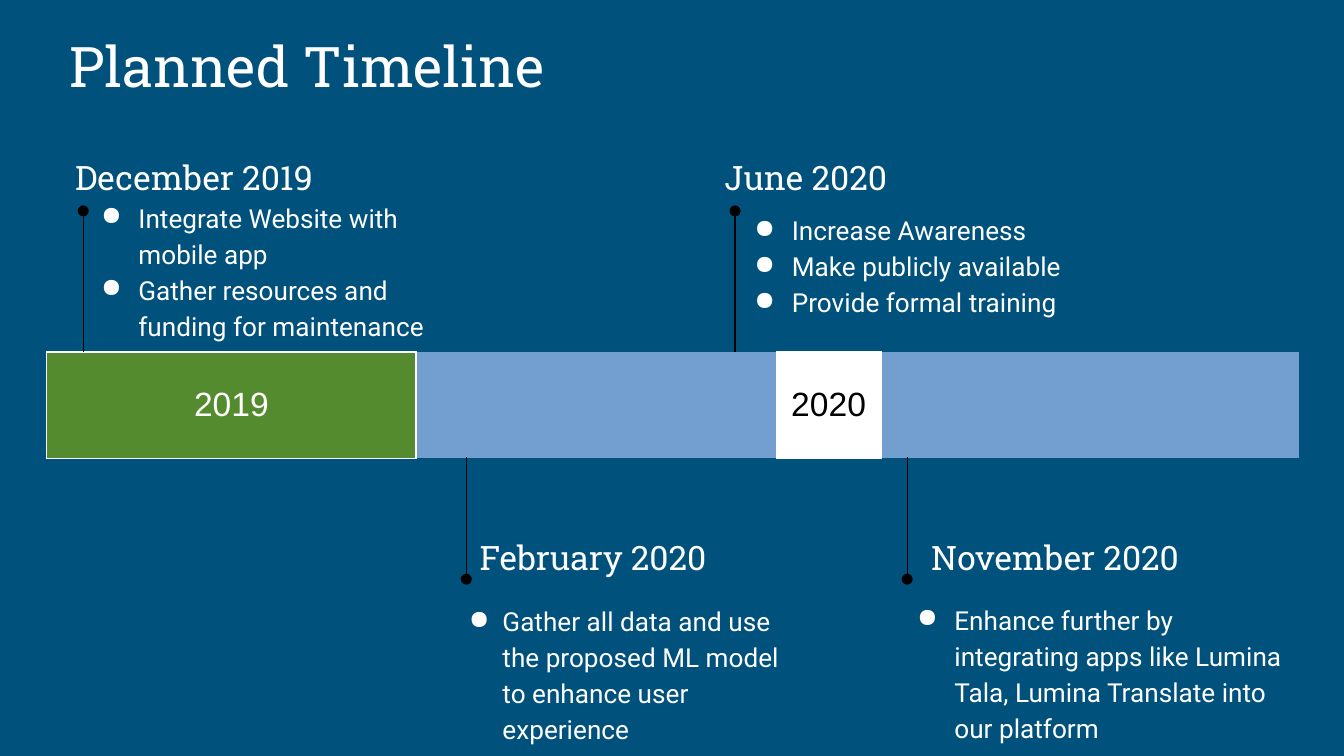
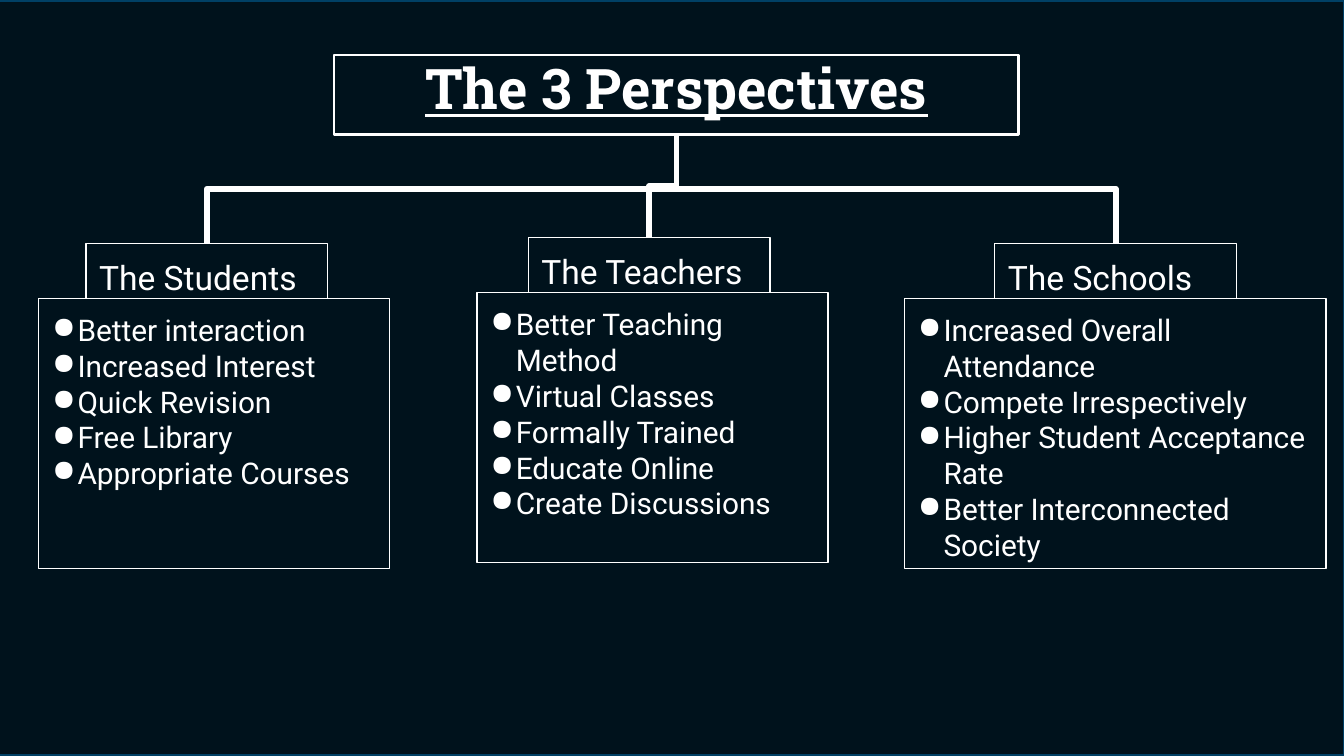
from lxml import etree
from pptx import Presentation
from pptx import util as u
from pptx.dml import color
from pptx.enum import shapes, text
from pptx.oxml import ns

HUES = {"back": "00517C", "edge": "004065", "white": "FFFFFF",
        "black": "000000", "green": "558B2F", "blue": "729FCF"}
HEAD = {"name": "Roboto Slab", "size": 18}
TITLE = {"name": "Roboto Slab", "size": 30}
BODY = {"name": "Roboto", "size": 14}
CARD = {"name": "Roboto", "size": 16}
LABEL = {"name": "Roboto", "size": 18}
YEAR = {"name": "Arial", "size": 18}
MID = text.MSO_ANCHOR.MIDDLE
LOW = text.MSO_ANCHOR.BOTTOM
TOP = text.MSO_ANCHOR.TOP
CENTER = text.PP_ALIGN.CENTER
PAD = 7.2


def hue(name):
    return color.RGBColor.from_string(HUES[name])


def pts(box):
    return [u.Pt(n) for n in box]


def sub(node, tag, **attrs):
    return etree.SubElement(node, ns.qn(tag), attrs)


def bullet(para, left, hang):
    props = para._p.get_or_add_pPr()
    props.set("marL", str(u.Pt(left)))
    props.set("indent", str(u.Pt(-hang)))
    sub(sub(props, "a:buClr"), "a:srgbClr", val=HUES["white"])
    sub(props, "a:buChar", char="●")


def write(frame, lines, style, tone="white", anchor=TOP, align=None,
          dots=None, space=None):
    look = {"word_wrap": True, "vertical_anchor": anchor,
            "margin_left": u.Pt(PAD), "margin_right": u.Pt(PAD),
            "margin_top": u.Pt(PAD), "margin_bottom": u.Pt(PAD)}
    for key, val in look.items():
        setattr(frame, key, val)
    for i, line in enumerate(lines):
        para = frame.add_paragraph() if i else frame.paragraphs[0]
        if dots:
            bullet(para, *dots)
        para.alignment = align or text.PP_ALIGN.LEFT
        if space:
            para.line_spacing = space
        run = para.add_run()
        run.text = line
        for key, val in style.items():
            setattr(run.font, key, u.Pt(val) if key == "size" else val)
        run.font.color.rgb = hue(tone)


def label(slide, box, lines, style, **kw):
    write(slide.shapes.add_textbox(*pts(box)).text_frame, lines, style, **kw)


def frame(tree, box, line="white", width=0.75):
    rect = tree.add_shape(shapes.MSO_SHAPE.RECTANGLE, *pts(box))
    rect.shadow.inherit = False
    rect.fill.background()
    rect.line.color.rgb = hue(line)
    rect.line.width = u.Pt(width)
    return rect


def wire(slide, kind, ends, tone, width):
    line = slide.shapes.add_connector(kind, *pts(ends))
    line.line.color.rgb = hue(tone)
    line.line.width = u.Pt(width)
    sub(line._element.spPr, "a:effectLst")
    return line


def page(deck):
    slide = deck.slides.add_slide(deck.slide_layouts[6])
    fill = slide.background.fill
    fill.solid()
    fill.fore_color.rgb = hue("back")
    return slide


def years(slide, box):
    grid = slide.shapes.add_table(1, 12, *pts(box)).table
    grid.first_row = grid.horz_banding = False
    month = 56
    wide = {3: 30, 4: 81}
    for i, col in enumerate(grid.columns):
        col.width = u.Pt(wide.get(i, month))
    for cell in grid.iter_cells():
        cell.fill.solid()
        cell.fill.fore_color.rgb = hue("blue")
    for first, last, year, fill, tone in (
            (0, 3, "2019", "green", "white"),
            (4, 11, "2020", "white", "black")):
        cell = grid.cell(0, first)
        cell.merge(grid.cell(0, last))
        cell.fill.fore_color.rgb = hue(fill)
        write(cell.text_frame, [year], YEAR, tone, align=CENTER)
        cell.vertical_anchor = MID


def event(slide, box, name, pin, edge, body, dots, lines):
    x, y, w, h = box
    dx, dy = pin
    line = wire(slide, shapes.MSO_CONNECTOR.STRAIGHT,
                (x + dx, edge, x + dx, y + dy), "black", 0.75)
    sub(line.line._get_or_add_ln(), "a:tailEnd", type="oval")
    label(slide, box, [name], HEAD, anchor=MID)
    bx, by, bw, bh = body
    label(slide, (x + bx, y + by, bw, bh), lines, BODY,
          dots=dots, space=1.15)


def plan(deck):
    slide = page(deck)
    label(slide, (30, 6, 659, 54), ["Planned Timeline"], TITLE, anchor=LOW)
    x, y, w, h = bar = 25, 188.6, 671, 57
    years(slide, bar)
    up, down = y - 109.4, y + 94.4
    low = y + h - 0.6
    wide, slim = (22.5, 20), (18, 20)
    events = (
        ((33.1, up, 182, 31), "December 2019", (11.5, 33.8), y,
         (11.5, 19.4, 199.4, 86.4), wide,
         ["Integrate Website with mobile app",
          "Gather resources and funding for maintenance"]),
        ((249.8, down, 182, 31), "February 2020", (0, 27.3), low,
         (-5.7, 31.7, 182, 86.4), slim,
         ["Gather all data and use the proposed ML model "
          "to enhance user experience"]),
        ((381, up, 185, 31), "June 2020", (12.8, 33.8), y,
         (13.6, 25.9, 193, 75), wide,
         ["Increase Awareness", "Make publicly available",
          "Provide formal training"]),
        ((491.8, down, 185, 31), "November 2020", (-5.8, 27.3), low,
         (-10.1, 30.9, 221.8, 75), wide,
         ["Enhance further by integrating apps like Lumina Tala, "
          "Lumina Translate into our platform"]))
    for item in events:
        event(slide, *item)


def card(slide, box, inset, name, lines):
    x, y, w, h = box
    tab = 29.5
    group = slide.shapes.add_group_shape()
    head = frame(group.shapes, (x + inset, y, 129.6, tab))
    write(head.text_frame, [name], LABEL)
    body = frame(group.shapes, (x, y + tab, w, h - tab))
    write(body.text_frame, lines, CARD, dots=(13.7, 17.3))
    return head


def branch(slide, root, leaf):
    x1, y1 = root.left + root.width // 2, root.top + root.height
    x2, y2 = leaf.left + leaf.width // 2, leaf.top
    line = wire(slide, shapes.MSO_CONNECTOR.ELBOW, (0, 0, 1, 1), "white", 3)
    line.begin_connect(root, 2)
    line.end_connect(leaf, 0)
    high, wide = y2 - y1, abs(x2 - x1)
    spot = {"left": (x1 + x2 - high) // 2, "top": (y1 + y2 - wide) // 2,
            "width": high, "height": wide}
    for key, val in spot.items():
        setattr(line, key, val)
    right = x2 > x1
    form = line._element.spPr.find(ns.qn("a:xfrm"))
    for key in ("flipH", "flipV"):
        form.attrib.pop(key, None)
    form.set("rot", "16200000" if right else "5400000")
    if right:
        form.set("flipH", "1")


def views(deck):
    slide = page(deck)
    shade = frame(slide.shapes, (-0.5, 0.5, 720.5, 404), "edge")
    shade.fill.solid()
    shade.fill.fore_color.rgb = hue("black")
    tint = shade._element.spPr.find(ns.qn("a:solidFill"))[0]
    sub(tint, "a:alpha", val="77000")
    root = frame(slide.shapes, (179, 29.5, 366.8, 42.5), width=1.5)
    write(root.text_frame, ["The 3 Perspectives"],
          {**TITLE, "bold": True, "underline": True},
          anchor=LOW, align=CENTER)
    cards = (
        ((20.8, 130.3, 188, 174.3), 25.2, "The Students",
         ["Better interaction", "Increased Interest", "Quick Revision",
          "Free Library", "Appropriate Courses"]),
        ((255.6, 127.2, 188, 174.3), 27.4, "The Teachers",
         ["Better Teaching Method", "Virtual Classes", "Formally Trained",
          "Educate Online", "Create Discussions"]),
        ((484.7, 130.3, 225.6, 174.3), 48.2, "The Schools",
         ["Increased Overall Attendance", "Compete Irrespectively",
          "Higher Student Acceptance Rate",
          "Better Interconnected Society"]))
    for leaf in [card(slide, *item) for item in cards]:
        branch(slide, root, leaf)


def main():
    deck = Presentation()
    deck.slide_width, deck.slide_height = u.Pt(720), u.Pt(405)
    plan(deck)
    views(deck)
    deck.save("out.pptx")


if __name__ == "__main__":
    main()
